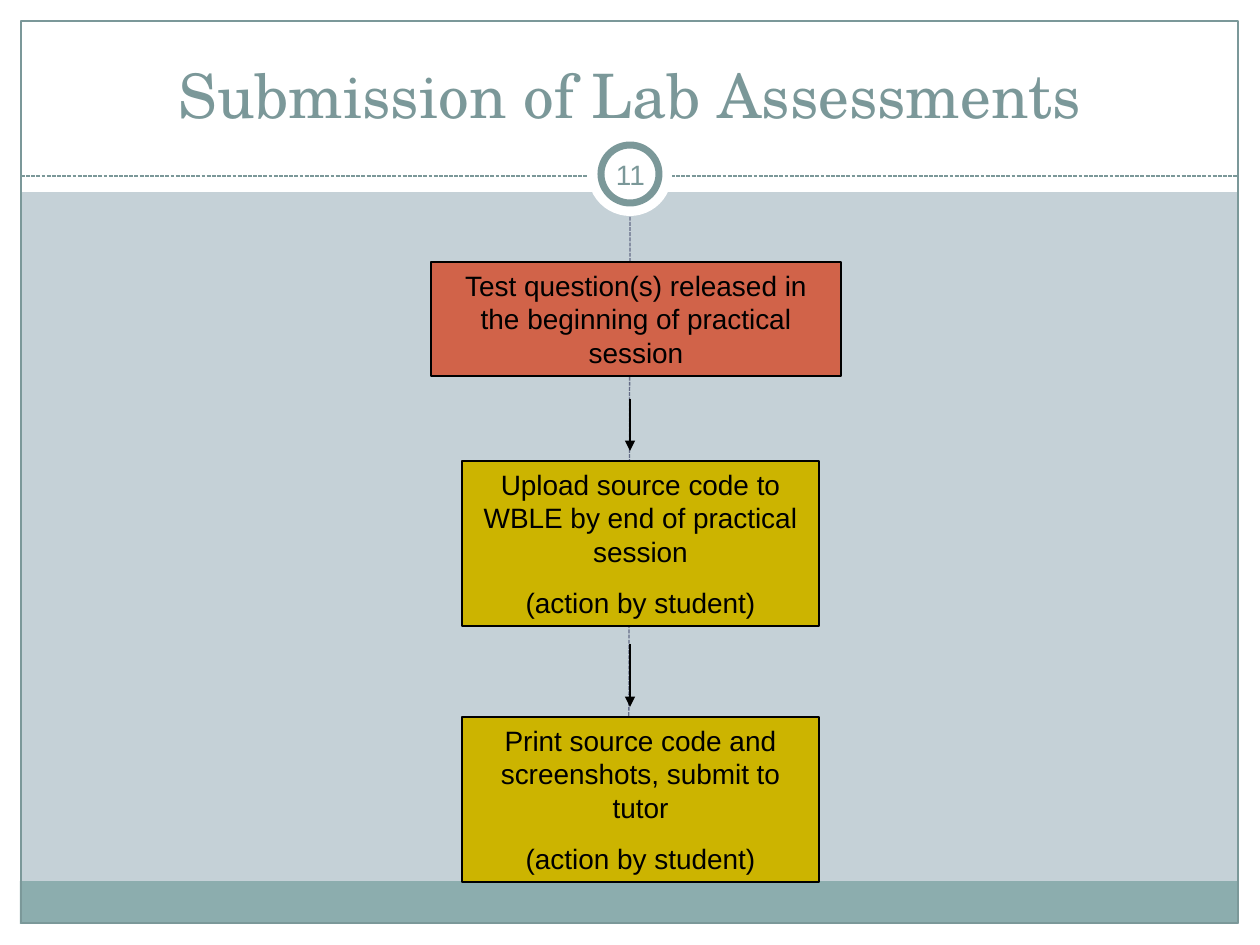
"""Build the lab assessment submission flow slide."""
from dataclasses import dataclass

from lxml import etree
from pptx import Presentation
from pptx.dml.color import RGBColor
from pptx.enum.dml import MSO_LINE
from pptx.enum.shapes import MSO_CONNECTOR, MSO_SHAPE
from pptx.enum.text import MSO_ANCHOR, PP_ALIGN
from pptx.oxml.ns import qn
from pptx.util import Pt

RECT, OVAL = MSO_SHAPE.RECTANGLE, MSO_SHAPE.OVAL
STRAIGHT = MSO_CONNECTOR.STRAIGHT
DASH = MSO_LINE.SQUARE_DOT
CENTER = PP_ALIGN.CENTER
MIDDLE, TOP, BOTTOM = MSO_ANCHOR.MIDDLE, MSO_ANCHOR.TOP, MSO_ANCHOR.BOTTOM
SCALE = 914400 / 126


@dataclass(frozen=True)
class Theme:
    back: str = "C5D1D7"
    white: str = "FFFFFF"
    black: str = "000000"
    teal: str = "7B9899"
    band: str = "8CADAE"
    stem: str = "646B86"
    start: str = "D16349"
    action: str = "CCB400"
    title_font: str = "TeX Gyre Schola"
    body_font: str = "Arial"
    title_size: int = 35
    body_size: int = 16


theme = Theme()


def add_box(kind, box, fill=None, line=None, width=0.75):
    sp = s.shapes.add_shape(kind, *[round(v * SCALE) for v in box])
    sp.shadow.inherit = False
    if fill:
        sp.fill.solid()
        sp.fill.fore_color.rgb = RGBColor.from_string(fill)
    else:
        sp.fill.background()
    if line:
        sp.line.color.rgb = RGBColor.from_string(line)
        sp.line.width = Pt(width)
    else:
        sp.line.fill.background()
    return sp


def add_line(ends, color, width=0.75):
    cx = s.shapes.add_connector(STRAIGHT, *[round(v * SCALE) for v in ends])
    cx.line.color.rgb = RGBColor.from_string(color)
    cx.line.width = Pt(width)
    etree.SubElement(cx.element.spPr, qn("a:effectLst"))
    return cx


prs = Presentation()
prs.slide_width, prs.slide_height = round(1260 * SCALE), round(945 * SCALE)
s = prs.slides.add_slide(prs.slide_layouts[5])
s.background.fill.solid()
s.background.fill.fore_color.rgb = RGBColor.from_string(theme.back)

for margin in [(0, 924, 1260, 21), (0, 0, 1260, 192), (0, 0, 21, 945), (1239, 0, 21, 945)]:
    add_box(RECT, margin, theme.white)
band = add_box(RECT, (20, 881, 1217, 43), theme.band)
add_box(RECT, (21, 21, 1217, 902), line=theme.teal)
add_line((21, 176, 1239, 176), theme.teal).line.dash_style = DASH
add_box(OVAL, (588, 132, 84, 84), theme.white)
add_box(OVAL, (601, 145, 58, 58), theme.white, theme.teal, 4)
stem = add_line((629, 881, 630, 217), theme.stem)
stem.line.dash_style = DASH
stem.begin_connect(band, 0)

title = s.shapes.title
title.element.getparent().append(title.element)
title.left, title.top, title.width, title.height = [round(v * SCALE) for v in (42, 32, 1176, 105)]
tf = title.text_frame
tf.text = "Submission of Lab Assessments"
tf.vertical_anchor = BOTTOM
p = tf.paragraphs[0]
p.alignment = CENTER
p.font.name, p.font.size = theme.title_font, Pt(theme.title_size)
p.font.color.rgb = RGBColor.from_string(theme.teal)

number = s.shapes.add_textbox(*[round(v * SCALE) for v in (599, 144, 63, 60)])
tf = number.text_frame
tf.word_wrap = True
tf.vertical_anchor = MIDDLE
tf.margin_left = tf.margin_right = tf.margin_top = tf.margin_bottom = round(6 * SCALE)
tf.text = "11"
p = tf.paragraphs[0]
p.alignment = CENTER
p.font.name, p.font.size = theme.body_font, Pt(theme.body_size)
p.font.color.rgb = RGBColor.from_string(theme.teal)

steps = [
    ((431, 262, 410, 114), theme.start,
     ["Test question(s) released in the beginning of practical session"]),
    ((462, 461, 357, 165), theme.action,
     ["Upload source code to WBLE by end of practical session", "(action by student)"]),
    ((462, 717, 357, 165), theme.action,
     ["Print source code and screenshots, submit to tutor", "(action by student)"]),
]
for box, fill, lines in steps:
    tf = add_box(RECT, box, fill, theme.black).text_frame
    tf.word_wrap = True
    tf.vertical_anchor = TOP
    tf.text = "\n".join(lines)
    for i, p in enumerate(tf.paragraphs):
        p.alignment = CENTER
        p.space_before = Pt(10 if i else 0)
        p.font.name, p.font.size = theme.body_font, Pt(theme.body_size)
        p.font.color.rgb = RGBColor.from_string(theme.black)

for y1, y2 in [(399, 451), (644, 707)]:
    arrow = add_line((630, y1, 630, y2), theme.black, 1.5)
    etree.SubElement(arrow.line._get_or_add_ln(), qn("a:tailEnd"), type="triangle")

prs.save("out.pptx")
